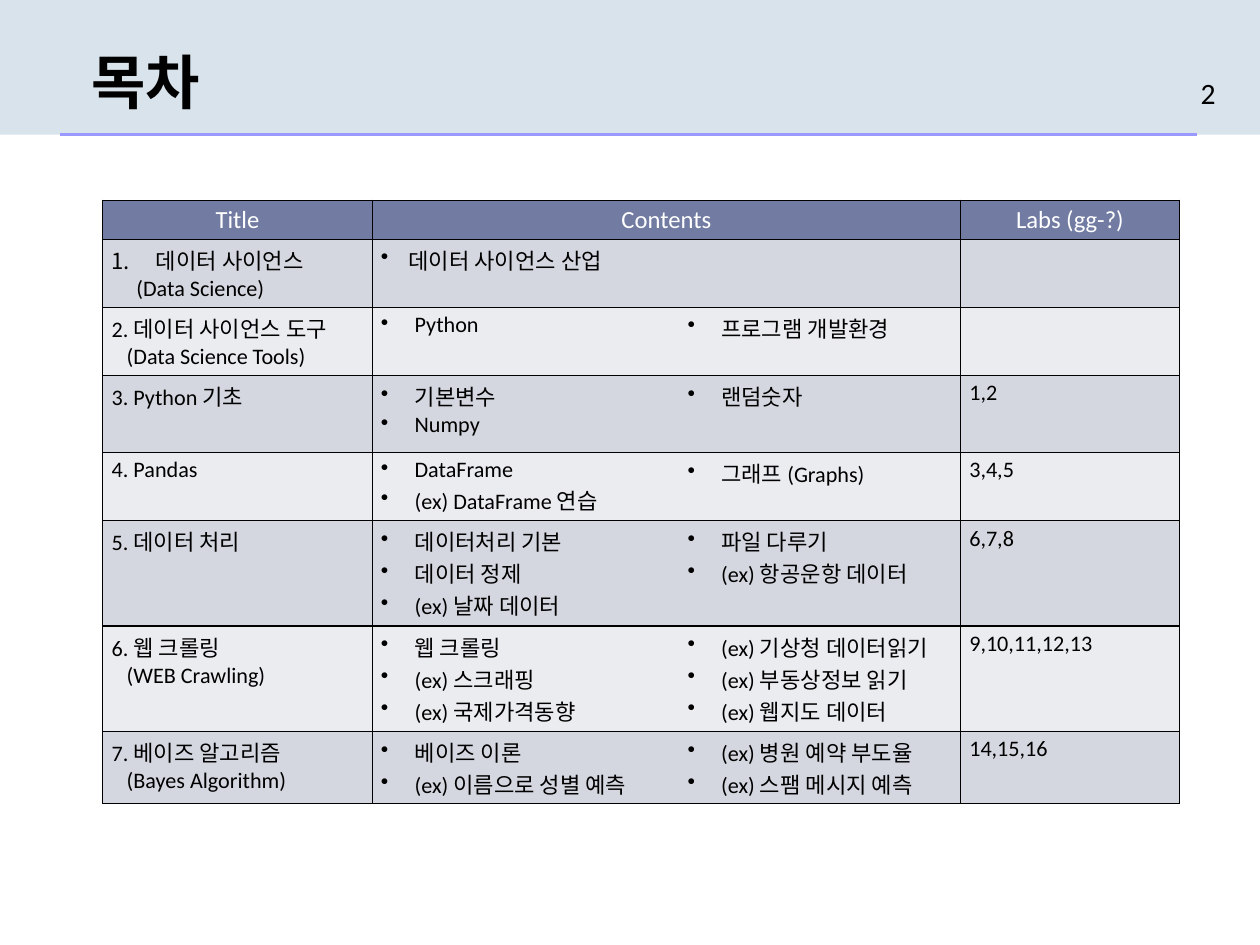
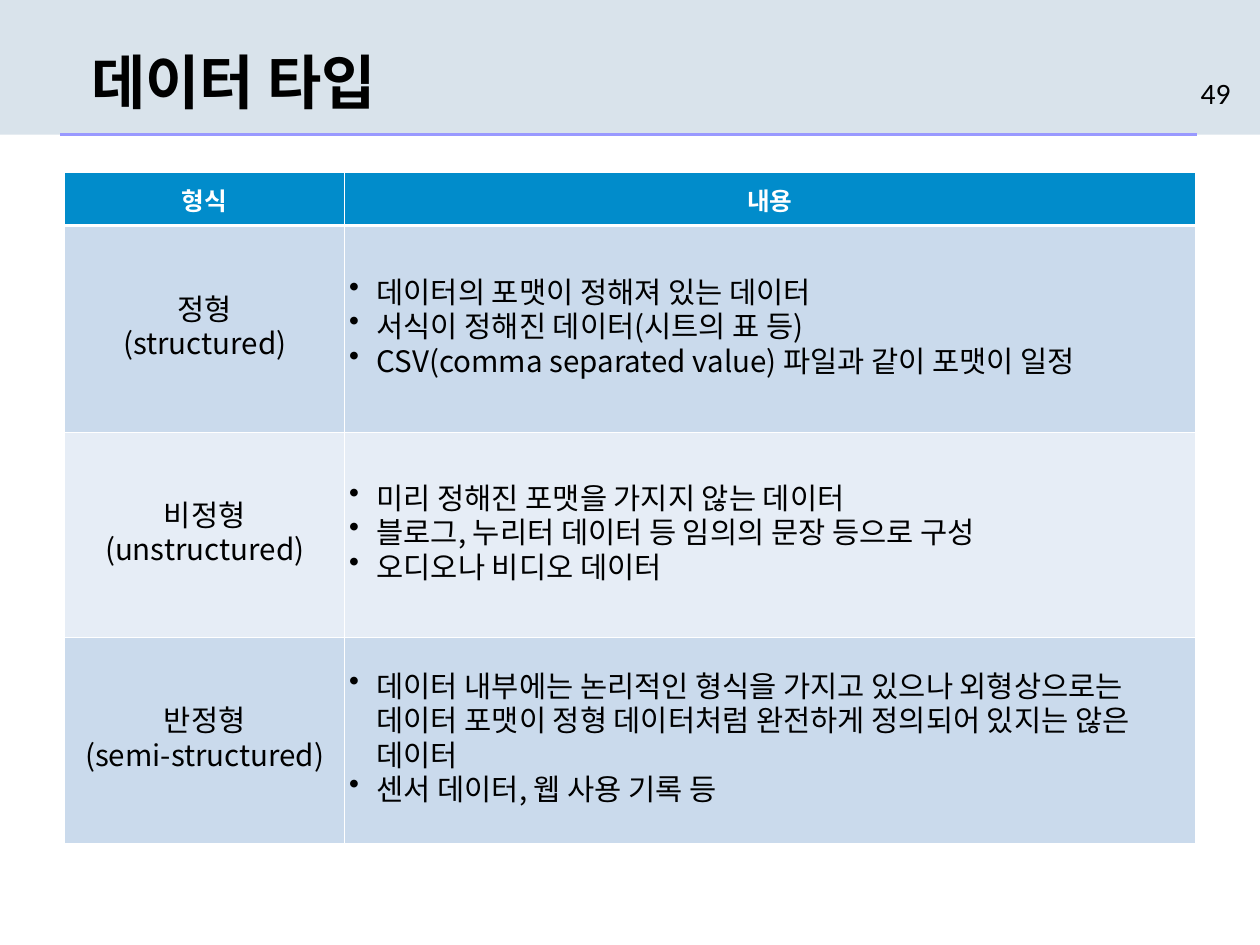
from dataclasses import dataclass

from lxml import etree
from pptx import Presentation
from pptx.dml.color import RGBColor
from pptx.enum import shapes, text
from pptx.oxml import ns
from pptx.util import Inches, Pt


@dataclass(frozen=True)
class Theme:
    band: str = "D9E3EB"
    rule: str = "9999FF"
    ink: str = "000000"
    white: str = "FFFFFF"
    toc: tuple = ("727CA3", "D5D7E0", "EBECF0")   # head, odd row, even row
    types: tuple = ("018CCB", "CADAEC", "E6EDF6")
    sans: str = "Calibri"
    hangul: str = "Noto Sans CJK KR"
    title: int = 48
    body: int = 24
    head: int = 20
    small: int = 18


T = Theme()
MID, LEFT = text.PP_ALIGN.CENTER, text.PP_ALIGN.LEFT

# Content: contents page
TOC_HEAD = ["Title", "Contents", "", "Labs (gg-?)"]
TOC = [
    (["데이터 사이언스", "(Data Science)"], ["데이터 사이언스 산업"], [], ""),
    (["2. 데이터 사이언스 도구", "(Data Science Tools)"],
     ["Python"], ["프로그램 개발환경"], ""),
    (["3. Python 기초"], ["기본변수", "Numpy"], ["랜덤숫자"], "1,2"),
    (["4. Pandas"], ["DataFrame", "(ex) DataFrame 연습"],
     ["그래프 (Graphs)"], "3,4,5"),
    (["5. 데이터 처리"], ["데이터처리 기본", "데이터 정제", "(ex) 날짜 데이터"],
     ["파일 다루기", "(ex) 항공운항 데이터"], "6,7,8"),
    (["6. 웹 크롤링", "(WEB Crawling)"],
     ["웹 크롤링", "(ex) 스크래핑", "(ex) 국제가격동향"],
     ["(ex) 기상청 데이터읽기", "(ex) 부동상정보 읽기", "(ex) 웹지도 데이터"],
     "9,10,11,12,13"),
    (["7. 베이즈 알고리즘", "(Bayes Algorithm)"],
     ["베이즈 이론", "(ex) 이름으로 성별 예측"],
     ["(ex) 병원 예약 부도율", "(ex) 스팸 메시지 예측"], "14,15,16"),
]
TOC_COLS = [3.04, 3.46, 3.18, 2.47]
TOC_ROWS = [0.44, 0.77, 0.77, 0.87, 0.77, 1.19, 1.19, 0.82]

# Content: data types
TYPE_HEAD = ["형식", "내용"]
TYPES = [
    (["정형", "(structured)"],
     ["데이터의 포맷이 정해져 있는 데이터",
      "서식이 정해진 데이터(시트의 표 등)",
      "CSV(comma separated value) 파일과 같이 포맷이 일정"]),
    (["비정형", "(unstructured)"],
     ["미리 정해진 포맷을 가지지 않는 데이터",
      "블로그, 누리터 데이터 등 임의의 문장 등으로 구성",
      "오디오나 비디오 데이터"]),
    (["반정형", "(semi-structured)"],
     ["데이터 내부에는 논리적인 형식을 가지고 있으나 외형상으로는 "
      "데이터 포맷이 정형 데이터처럼 완전하게 정의되어 있지는 않은 데이터",
      "센서 데이터, 웹 사용 기록 등"]),
]
TYPE_COLS = [3.16, 9.6]
TYPE_ROWS = [0.6, 2.33, 2.32, 2.32]


def rgb(code):
    return RGBColor.from_string(code)


def sub(node, tag, **attrs):
    return etree.SubElement(node, ns.qn(tag), attrs)


# Text
def style(par, size, color=T.ink, face=T.sans, bold=False):
    font = par.font
    font.name, font.size, font.bold = face, Pt(size), bold
    font.color.rgb = rgb(color)
    latin = par._p.pPr.find(ns.qn("a:defRPr")).find(ns.qn("a:latin"))
    east = etree.Element(ns.qn("a:ea"), typeface=T.hangul)
    latin.addnext(east)


def indent(par, left, mark=None):
    """Indent a paragraph; a mark hangs in front of the text."""
    props = par._p.get_or_add_pPr()
    props.set("marL", str(Inches(left)))
    props.set("indent", str(Inches(-left if mark else 0)))
    if mark == "1.":
        sub(props, "a:buAutoNum", type="arabicPeriod")
    elif mark:
        sub(props, "a:buChar", char=mark)


def write(frame, lines, size, align=LEFT, dents=(), lead=None, **look):
    """Write one paragraph a line; dents holds (left, mark) for each."""
    for i, line in enumerate(lines):
        par = frame.paragraphs[0] if i == 0 else frame.add_paragraph()
        par.text, par.alignment = line, align
        if lead:
            par.line_spacing = Pt(lead)
        if dents:
            indent(par, *dents[i])
        style(par, size, **look)


def label(slide, at, line, size, anchor=text.MSO_ANCHOR.TOP, **look):
    frame = slide.shapes.add_textbox(*map(Inches, at)).text_frame
    frame.word_wrap, frame.vertical_anchor = True, anchor
    frame.margin_left = frame.margin_right = Inches(0.14)
    frame.margin_top = frame.margin_bottom = Inches(0.07)
    write(frame, [line], size, **look)


# Tables
def grid(slide, left, top, cols, rows):
    size = (left, top, sum(cols), sum(rows))
    table = slide.shapes.add_table(
        len(rows), len(cols), *map(Inches, size)).table
    table.first_row = table.horz_banding = False
    for col, width in zip(table.columns, cols):
        col.width = Inches(width)
    for row, height in zip(table.rows, rows):
        row.height = Inches(height)
    return table


def paint(cell, fill, color, widths=(1, 1, 1, 1)):
    """Fill a cell and rule its left, right, top and bottom; 0 is no line."""
    cell.fill.solid()
    cell.fill.fore_color.rgb = rgb(fill)
    props = cell._tc.get_or_add_tcPr()
    for i, (side, width) in enumerate(zip("LRTB", widths)):
        line = etree.Element(ns.qn("a:ln" + side), w=str(Pt(width)))
        if width:
            sub(sub(line, "a:solidFill"), "a:srgbClr", val=color)
        else:
            sub(line, "a:noFill")
        props.insert(i, line)


def tint(fills, r):
    return fills[0] if r == 0 else fills[2 - r % 2]


# Shared frame of each slide
def page(deck, name, number):
    slide = deck.slides.add_slide(deck.slide_layouts[6])
    band = slide.shapes.add_shape(
        shapes.MSO_SHAPE.RECTANGLE, 0, 0, deck.slide_width, Inches(1.52))
    band.shadow.inherit = False
    band.fill.solid()
    band.fill.fore_color.rgb = rgb(T.band)
    band.line.fill.background()
    rule = slide.shapes.add_connector(
        shapes.MSO_CONNECTOR.STRAIGHT,
        *map(Inches, (0.68, 1.52, 13.51, 1.52)))
    rule.line.color.rgb, rule.line.width = rgb(T.rule), Pt(2.25)
    sub(rule._element.spPr, "a:effectLst")
    label(slide, (0.89, 0.37, 12.6, 1.01), name, T.title,
          text.MSO_ANCHOR.BOTTOM, face=T.hangul, bold=True)
    label(slide, (13.41, 0.78, 0.81, 0.57), number, T.body)
    return slide


def contents(deck):
    table = grid(page(deck, "목차", "2"), 1.16, 2.26, TOC_COLS, TOC_ROWS)
    for r in range(len(TOC_ROWS)):
        for c in range(len(TOC_COLS)):
            # The two middle columns read as one
            edges = (int(c != 2), int(c != 1), 1, 1)
            paint(table.cell(r, c), tint(T.toc, r), T.ink, edges)
    table.cell(0, 1).merge(table.cell(0, 2))
    for c, name in enumerate(TOC_HEAD):
        if name:
            write(table.cell(0, c).text_frame, [name], T.head, MID,
                  color=T.white)
    for r, (name, *lists, labs) in enumerate(TOC, 1):
        first = r == 1
        dents = [(0.5, "1."), (0.28,)] if first else [(0,), (0.17,)]
        write(table.cell(r, 0).text_frame, name, T.small, dents=dents)
        for c, lines in enumerate(lists, 1):
            dent = (0.31 if first else 0.38, "•")
            write(table.cell(r, c).text_frame, lines, T.small,
                  dents=[dent] * len(lines))
        if labs:
            write(table.cell(r, 3).text_frame, [labs], T.small)


def types(deck):
    table = grid(page(deck, "데이터 타입", "49"), 0.73, 1.95,
                 TYPE_COLS, TYPE_ROWS)
    for r in range(len(TYPE_ROWS)):
        for c in range(len(TYPE_COLS)):
            cell = table.cell(r, c)
            edges = (1, 1, 3 if r == 1 else 1, 3 if r == 0 else 1)
            paint(cell, tint(T.types, r), T.white, edges)
            cell.vertical_anchor = text.MSO_ANCHOR.MIDDLE
            cell.margin_left = cell.margin_right = Inches(0.05)
            cell.margin_top = cell.margin_bottom = Inches(0.05)
    for c, name in enumerate(TYPE_HEAD):
        write(table.cell(0, c).text_frame, [name], T.head, MID,
              color=T.white, face=T.hangul, bold=True)
    for r, (name, facts) in enumerate(TYPES, 1):
        write(table.cell(r, 0).text_frame, name, T.body, MID, lead=28,
              face=T.hangul)
        write(table.cell(r, 1).text_frame, facts, T.body, lead=28,
              dents=[(0.31, "•")] * len(facts), face=T.hangul)


def main():
    deck = Presentation()
    deck.slide_width, deck.slide_height = Inches(14.22), Inches(10.67)
    contents(deck)
    types(deck)
    deck.save("out.pptx")


if __name__ == "__main__":
    main()
